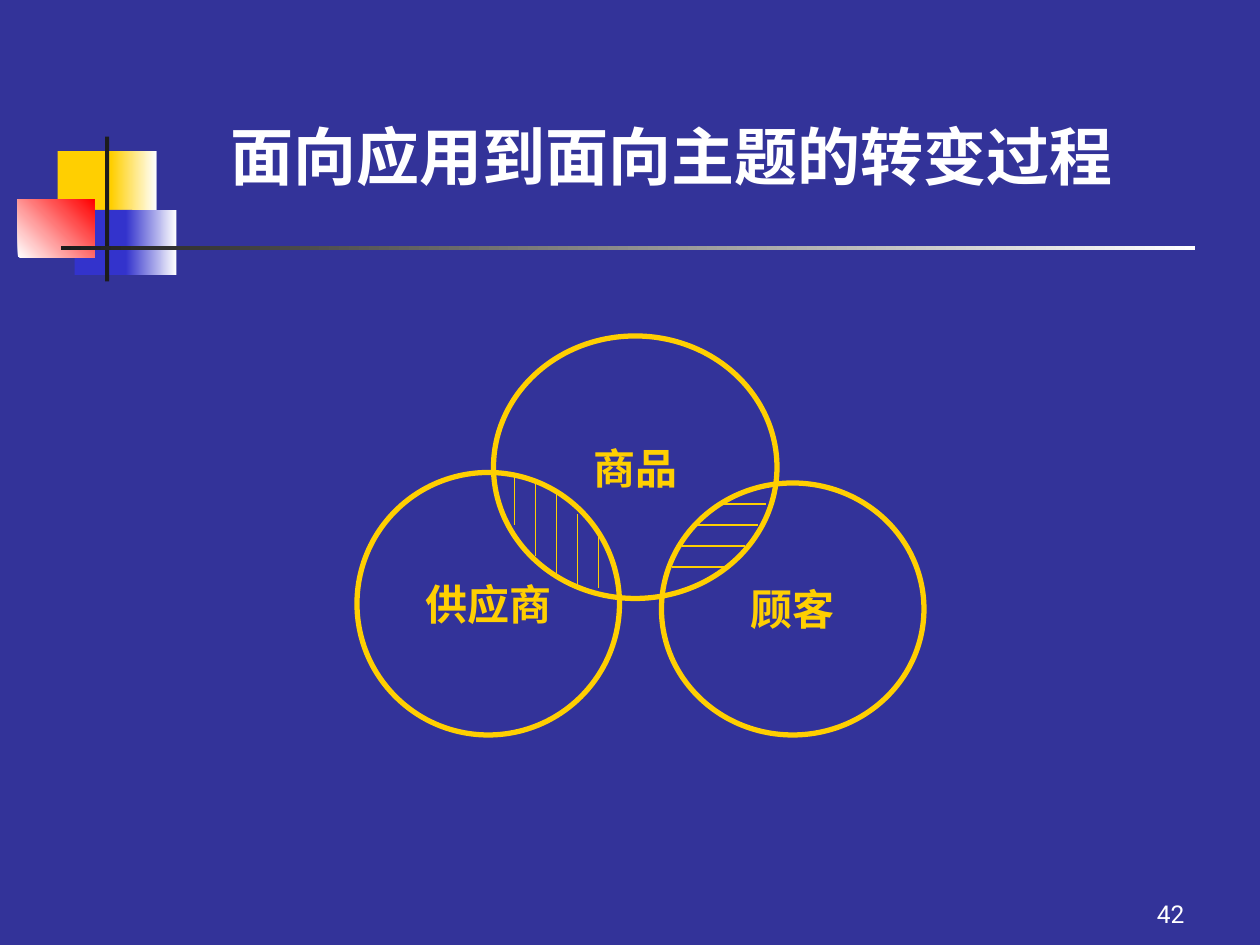
from dataclasses import dataclass

from lxml.etree import SubElement
from pptx import Presentation
from pptx.dml.color import RGBColor
from pptx.enum.shapes import MSO_CONNECTOR, MSO_SHAPE
from pptx.enum.text import MSO_ANCHOR, PP_ALIGN
from pptx.oxml.ns import qn
from pptx.util import Inches, Pt


@dataclass(frozen=True)
class Theme:
    background: str = "333399"
    yellow: str = "FFCF01"
    blue: str = "3333CC"
    red: str = "FF0000"
    dark: str = "1C1C1C"
    white: str = "FFFFFF"
    heading_font: str = "Times New Roman"
    body_font: str = "Roboto"
    title_size: int = 36
    label_size: int = 24
    number_size: int = 14
    outline: float = 3
    hatch: float = 0.75


THEME = Theme()
CELL = Inches(1) / 12  # the slide is a grid of 120 columns by 90 rows


def cells(*counts):
    return [round(count * CELL) for count in counts]


def color(name):
    return RGBColor.from_string(name)


def write(shape, text, size, font, ink, alignment, anchor, bold=False, wrap=True):
    frame = shape.text_frame
    frame.word_wrap = wrap
    frame.vertical_anchor = anchor
    paragraph = frame.paragraphs[0]
    paragraph.alignment = alignment
    run = paragraph.add_run()
    run.text = text
    run.font.size = Pt(size)
    run.font.name = font
    run.font.bold = bold
    run.font.color.rgb = color(ink)


def add_block(slide, box, start, end=None, angle=0):
    """Add a borderless rectangle, graded from start to end if end is given."""
    shape = slide.shapes.add_shape(MSO_SHAPE.RECTANGLE, *cells(*box))
    shape.shadow.inherit = False
    shape.line.fill.background()
    if end is None:
        shape.fill.solid()
        shape.fill.fore_color.rgb = color(start)
        return
    shape.fill.gradient()
    shape.fill.gradient_angle = angle
    for stop, name in zip(shape.fill.gradient_stops, (start, end)):
        stop.color.rgb = color(name)


def add_ornament(slide, box):
    """Draw the overlapping squares and crossed bars; offsets are in cells."""
    left, top, width, height = box
    blocks = [
        ((3.8, 1.4, 5.8, 6.3), THEME.yellow, None, 0),
        ((8.9, 1.4, 4.3, 6.3), THEME.yellow, THEME.white, 0),
        ((5.4, 7, 5.5, 6.2), THEME.blue, None, 0),
        ((10.3, 7, 4.8, 6.2), THEME.blue, THEME.white, 0),
        ((0, 6, 7.3, 5.5), THEME.white, THEME.red, 45),
        ((8.3, 0, 0.4, height), THEME.dark, None, 0),
        ((4.1, 10.4, width - 4.1, 0.4), THEME.dark, THEME.white, 0),
    ]
    for (x, y, across, down), start, end, angle in blocks:
        add_block(slide, (left + x, top + y, across, down), start, end, angle)


def add_title(slide, box, text):
    write(slide.shapes.add_textbox(*cells(*box)), text, THEME.title_size,
          THEME.heading_font, THEME.white, PP_ALIGN.CENTER, MSO_ANCHOR.BOTTOM, bold=True)


def add_slide_number(slide, box, number):
    write(slide.shapes.add_textbox(*cells(*box)), str(number), THEME.number_size,
          THEME.body_font, THEME.white, PP_ALIGN.RIGHT, MSO_ANCHOR.BOTTOM)


def add_circle(slide, box, label):
    circle = slide.shapes.add_shape(MSO_SHAPE.OVAL, *cells(*box))
    circle.shadow.inherit = False
    circle.fill.background()
    circle.line.color.rgb = color(THEME.yellow)
    circle.line.width = Pt(THEME.outline)
    write(circle, label, THEME.label_size, THEME.body_font, THEME.yellow,
          PP_ALIGN.CENTER, MSO_ANCHOR.MIDDLE, bold=True, wrap=False)


def add_hatch_line(slide, *ends):
    line = slide.shapes.add_connector(MSO_CONNECTOR.STRAIGHT, *cells(*ends))
    line.line.color.rgb = color(THEME.yellow)
    line.line.width = Pt(THEME.hatch)
    SubElement(line._element.spPr, qn("a:effectLst"))


def add_subject_diagram(slide, box):
    """Draw three subject circles and hatch their two overlaps."""
    left, top, width, height = box
    circles = [
        ("商品", 13, 0, 27, 25),
        ("供应商", 0, height - 25, 25, 25),
        ("顾客", width - 25, height - 24, 25, 24),
    ]
    for label, x, y, across, down in circles:
        add_circle(slide, (left + x, top + y, across, down), label)

    supplier_spans = [(13, 18), (14, 21), (15, 23), (17, 24), (19, 24)]
    for step, (start, end) in enumerate(supplier_spans):
        x = left + 15 + 2 * step
        add_hatch_line(slide, x, top + start, x, top + end)

    customer_spans = [(34.3, 39), (32, 38.2), (31, 37), (30, 35)]
    for step, (start, end) in enumerate(customer_spans):
        y = top + 16 + 2 * step
        add_hatch_line(slide, left + start, y, left + end, y)


def main():
    presentation = Presentation()
    presentation.slide_width = Inches(10)
    presentation.slide_height = Inches(7.5)
    slide = presentation.slides.add_slide(presentation.slide_layouts[6])
    slide.background.fill.solid()
    slide.background.fill.fore_color.rgb = color(THEME.background)

    add_ornament(slide, (1.7, 13, 112.1, 13.8))
    add_slide_number(slide, (89, 83, 25, 6), 42)
    add_subject_diagram(slide, (34, 32, 54, 38))
    add_title(slide, (16, 4, 96, 15), "面向应用到面向主题的转变过程")
    presentation.save("out.pptx")


if __name__ == "__main__":
    main()
